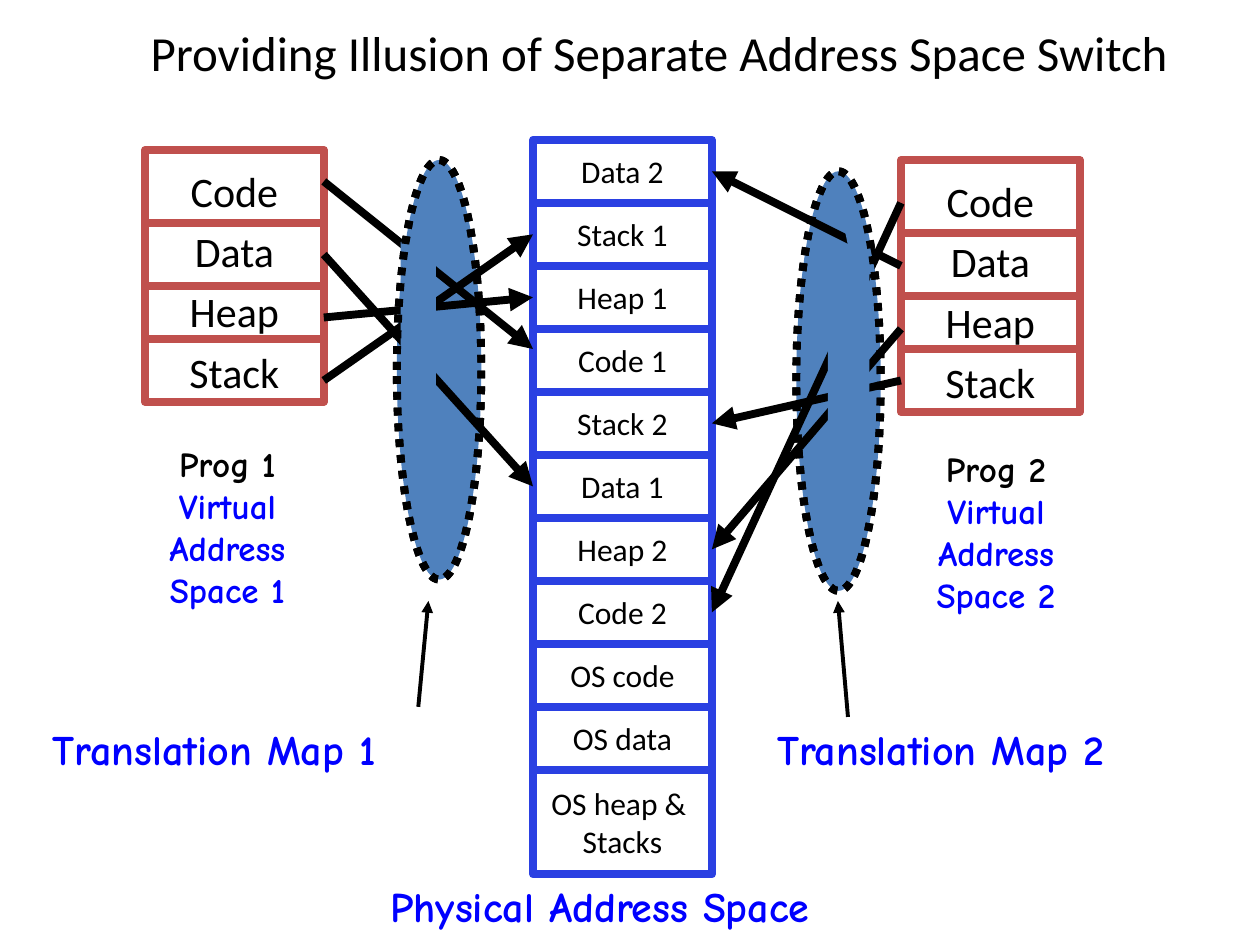
from lxml import etree
from pptx import Presentation
from pptx.dml.color import RGBColor
from pptx.enum.dml import MSO_LINE
from pptx.enum.shapes import MSO_CONNECTOR, MSO_SHAPE
from pptx.enum.text import MSO_ANCHOR, MSO_AUTO_SIZE, PP_ALIGN
from pptx.oxml.ns import qn
from pptx.util import Inches, Pt

RECTANGLE, ELLIPSE = MSO_SHAPE.RECTANGLE, MSO_SHAPE.OVAL
STRAIGHT = MSO_CONNECTOR.STRAIGHT
DOTTED = MSO_LINE.ROUND_DOT
LEFT, CENTER = PP_ALIGN.LEFT, PP_ALIGN.CENTER
MIDDLE, TOP = MSO_ANCHOR.MIDDLE, MSO_ANCHOR.TOP
FIT = MSO_AUTO_SIZE.SHAPE_TO_FIT_TEXT
LEFT_SIDE, RIGHT_SIDE = 1, 3

# The slide is a grid of 100 columns by 75 rows of square cells.
CELL = Inches(10) / 100
BLACK, WHITE, BLUE = "000000", "FFFFFF", "0000FF"
RED, MEMORY_BLUE, MAP_BLUE = "C0504D", "2A40E2", "4F81BD"
BODY_FONT, LABEL_FONT = "Calibri", "Comic Neue"
THICK, THIN = 4.5, 2.25

BOX_WIDTH, PROGRAM_HEIGHT = 14.2, 20
MEMORY_LEFT, MEMORY_TOP, MEMORY_ROW, LAST_ROW = 42.3, 11.1, 5, 8.3
MAP_WIDTH, MAP_HEIGHT = 6.7, 33.3
SEGMENTS = ["Code", "Data", "Heap", "Stack"]
DIVIDERS = [0.29, 0.54, 0.75]  # shares of a program's height
MEMORY = ["Data 2", "Stack 1", "Heap 1", "Code 1", "Stack 2", "Data 1",
          "Heap 2", "Code 2", "OS code", "OS data", "OS heap & \nStacks"]
MAPS = [(31.5, 12.7), (63.2, 13.6)]
PROGRAMS = [(11.5, 11.9), (71.5, 12.7)]
ARROW_STARTS = [[14.4, 20.2, 25.2, 30.2], [16.1, 21.1, 26.1, 30.2]]
CODE_1_ARROW_END = 27.7  # slightly above the middle of its row
# left, top, width, height, rotation of the areas hiding arrows inside a map
PATCHES = [[(31.8, 19.2, 2.8, 15, 0)],
           [(65.7, 21.1, 3.3, 15.8, 0), (67.3, 16.9, 1.7, 5, 348.5)]]


def grid(*cells):
    return [round(value * CELL) for value in cells]


def color(value):
    return RGBColor.from_string(value)


def set_text(shape, text, size, font, align=CENTER, anchor=MIDDLE,
             colors=(BLACK,), bold=False, spacing=None):
    """Fill a shape with text; the last colour serves all further paragraphs."""
    frame = shape.text_frame
    frame.text = text
    frame.word_wrap = False
    frame.vertical_anchor = anchor
    for index, paragraph in enumerate(frame.paragraphs):
        paragraph.alignment = align
        if spacing:
            paragraph.line_spacing = spacing
        for run in paragraph.runs:
            run.font.size = Pt(size)
            run.font.name = font
            run.font.bold = bold
            run.font.color.rgb = color(colors[min(index, len(colors) - 1)])


def add_shape(slide, kind, box, fill=None, line=None, dash=None):
    shape = slide.shapes.add_shape(kind, *grid(*box))
    shape.shadow.inherit = False
    if fill:
        shape.fill.solid()
        shape.fill.fore_color.rgb = color(fill)
    else:
        shape.fill.background()
    if line:
        shape.line.color.rgb = color(line)
        shape.line.width = Pt(THICK)
        shape.line.dash_style = dash
    else:
        shape.line.fill.background()
    return shape


def add_line(slide, start, end, line=BLACK, width=THICK, arrow=True):
    connector = slide.shapes.add_connector(STRAIGHT, *grid(*start, *end))
    connector.line.color.rgb = color(line)
    connector.line.width = Pt(width)
    if arrow:
        outline = connector.line._get_or_add_ln()
        etree.SubElement(outline, qn("a:tailEnd"), type="triangle")
    etree.SubElement(connector._element.spPr, qn("a:effectLst"))
    return connector


def add_label(slide, box, text, size, align=LEFT, colors=(BLUE,)):
    label = slide.shapes.add_textbox(*grid(*box))
    set_text(label, text, size, LABEL_FONT, align, TOP, colors, bold=True)
    label.text_frame.auto_size = FIT


def add_title(slide, text):
    title = slide.shapes.add_textbox(*grid(6.9, 1.2, 90.8, 5.8))
    set_text(title, text, 28, BODY_FONT)
    title.text_frame.word_wrap = True


def add_program(slide, left, top):
    box = add_shape(slide, RECTANGLE, (left, top, BOX_WIDTH, PROGRAM_HEIGHT), WHITE, RED)
    set_text(box, "\n".join(SEGMENTS), 24, BODY_FONT, spacing=1.2)
    for share in DIVIDERS:
        y = top + share * PROGRAM_HEIGHT
        add_line(slide, (left, y), (left + BOX_WIDTH, y), RED, arrow=False)


def add_memory(slide):
    """Stack the rows of physical memory and return them by name."""
    rows = {}
    for index, name in enumerate(MEMORY):
        height = LAST_ROW if name == MEMORY[-1] else MEMORY_ROW
        box = (MEMORY_LEFT, MEMORY_TOP + index * MEMORY_ROW, BOX_WIDTH, height)
        rows[name] = add_shape(slide, RECTANGLE, box, WHITE, MEMORY_BLUE)
        set_text(rows[name], name, 18, BODY_FONT)
    return rows


def add_mappings(slide, number, memory):
    """Point each segment of a program at its row in physical memory."""
    if number == 1:
        start_x, end_x, side = PROGRAMS[0][0] + BOX_WIDTH, MEMORY_LEFT, LEFT_SIDE
    else:
        start_x, end_x, side = PROGRAMS[1][0], MEMORY_LEFT + BOX_WIDTH, RIGHT_SIDE
    for segment, y in zip(SEGMENTS, ARROW_STARTS[number - 1]):
        name = f"{segment} {number}"
        arrow = add_line(slide, (start_x, y), (end_x, CODE_1_ARROW_END))
        if name != "Code 1":
            arrow.end_connect(memory[name], side)


def add_map_cover(slide, position, patches):
    for *box, rotation in patches:
        patch = add_shape(slide, RECTANGLE, box, MAP_BLUE)
        patch.rotation = rotation
    add_shape(slide, ELLIPSE, (*position, MAP_WIDTH, MAP_HEIGHT), None, BLACK, DOTTED)


def main():
    presentation = Presentation()
    presentation.slide_width, presentation.slide_height = grid(100, 75)
    slide = presentation.slides.add_slide(presentation.slide_layouts[6])

    for position in MAPS:
        add_shape(slide, ELLIPSE, (*position, MAP_WIDTH, MAP_HEIGHT), MAP_BLUE, BLACK, DOTTED)
    add_title(slide, "Providing Illusion of Separate Address Space Switch")
    for number, (left, top) in enumerate([(11.6, 34.6), (72.6, 35)], 1):
        add_label(slide, (left, top, 12.9, 14.3),
                  f"Prog {number}\nVirtual\nAddress\nSpace {number}",
                  20, CENTER, (BLACK, BLUE))
    for position in PROGRAMS:
        add_program(slide, *position)
    memory = add_memory(slide)
    for number in (1, 2):
        add_mappings(slide, number, memory)
    for position, patches in zip(MAPS, PATCHES):
        add_map_cover(slide, position, patches)

    for number, left in enumerate((3.2, 60.7), 1):
        add_label(slide, (left, 56.9, 31.5, 5), f"Translation Map {number}", 24)
    add_line(slide, (33.2, 56.1), (34, 47.7), width=THIN)
    add_line(slide, (67.3, 56.9), (66.5, 47.7), width=THIN)
    add_label(slide, (30, 69.4, 40.1, 5), "Physical Address Space", 24)
    presentation.save("out.pptx")


if __name__ == "__main__":
    main()
